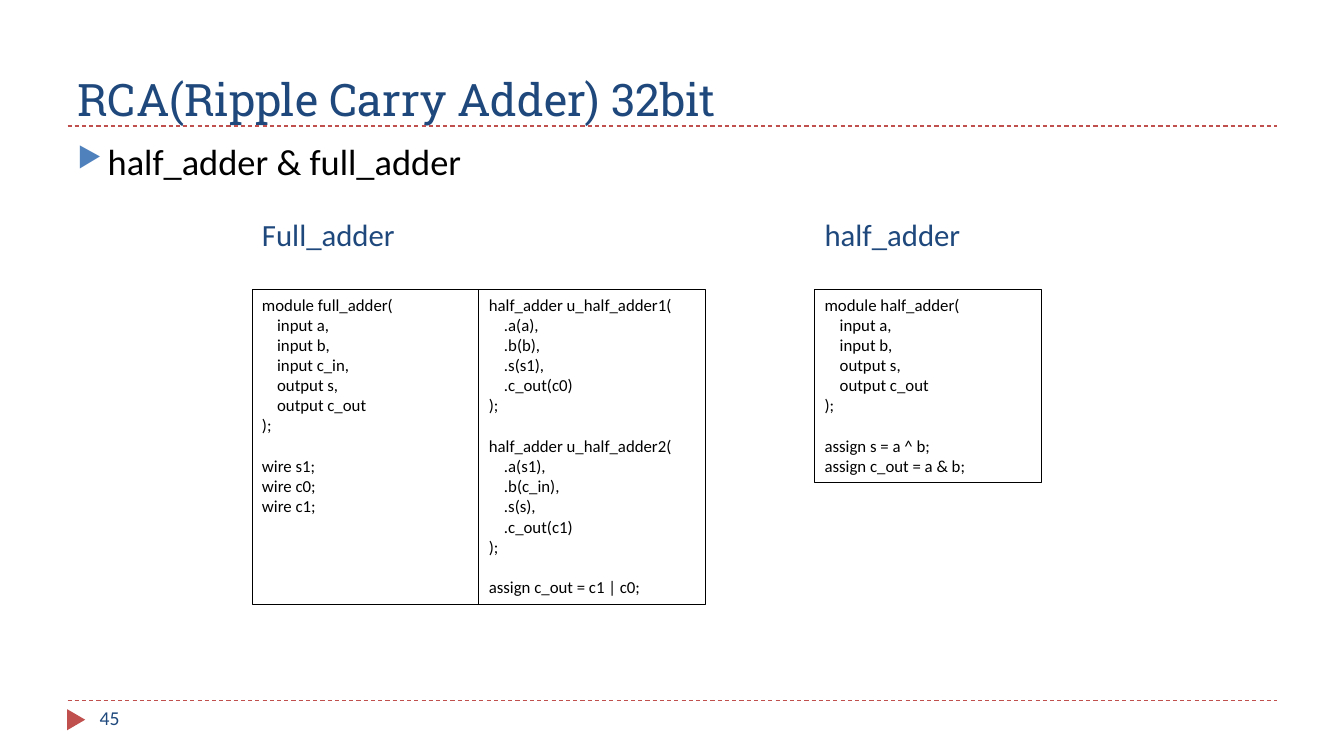
from lxml import etree
from pptx import Presentation
from pptx.dml.color import RGBColor
from pptx.enum.dml import MSO_LINE
from pptx.enum.shapes import MSO_CONNECTOR, MSO_SHAPE
from pptx.enum.text import MSO_ANCHOR, PP_ALIGN
from pptx.oxml.ns import qn
from pptx.util import Emu, Pt

DASH = MSO_LINE.DASH
STRAIGHT = MSO_CONNECTOR.STRAIGHT
RECTANGLE = MSO_SHAPE.RECTANGLE
TRIANGLE = MSO_SHAPE.ISOSCELES_TRIANGLE
TOP, BOTTOM = MSO_ANCHOR.TOP, MSO_ANCHOR.BOTTOM
LEFT = PP_ALIGN.LEFT

NAVY, RED, BLUE, BLACK = "1F497D", "C0504D", "4F81BD", "000000"
BODY_FONT, TITLE_FONT = "Calibri", "Roboto Slab"
CODE_SIZE = 12
CODE_LINE = 14.65

FULL_ADDER_PORTS = """module full_adder(
    input a,
    input b,
    input c_in,
    output s,
    output c_out
);

wire s1;
wire c0;
wire c1;"""

FULL_ADDER_BODY = """half_adder u_half_adder1(
    .a(a),
    .b(b),
    .s(s1),
    .c_out(c0)
);

half_adder u_half_adder2(
    .a(s1),
    .b(c_in),
    .s(s),
    .c_out(c1)
);

assign c_out = c1 | c0;"""

HALF_ADDER = """module half_adder(
    input a,
    input b,
    output s,
    output c_out
);

assign s = a ^ b;
assign c_out = a & b;"""


def px(length):
    return Emu(length * 9144)


def color(value):
    return RGBColor.from_string(value)


def style(para, size, tint, font=BODY_FONT):
    para.alignment = LEFT
    para.font.size = Pt(size)
    para.font.name = font
    para.font.color.rgb = color(tint)


def add_text(page, area, text, size, tint, font=BODY_FONT, anchor=TOP):
    box = page.shapes.add_textbox(*map(px, area))
    frame = box.text_frame
    frame.word_wrap = True
    frame.vertical_anchor = anchor
    frame.text = text
    style(frame.paragraphs[0], size, tint, font)
    return frame


def add_rule(page, left, top, width):
    rule = page.shapes.add_connector(
        STRAIGHT, px(left), px(top), px(left + width), px(top))
    rule.line.color.rgb = color(RED)
    rule.line.width = Pt(0.75)
    rule.line.dash_style = DASH
    etree.SubElement(rule._element.spPr, qn("a:effectLst"))


def add_title(page, left, top, width, height):
    frame = add_text(page, (left, top, width, height),
                     "RCA(Ripple Carry Adder) 32bit", 32, NAVY, TITLE_FONT, BOTTOM)
    frame.margin_bottom = px(1)
    add_rule(page, left, top + height, width)


def add_topic(page, left, top, width, height):
    frame = add_text(page, (left, top, width, height), "", 26, BLACK)
    para = frame.paragraphs[0]
    para.text = "half_adder & full_adder"
    properties = para._p.get_or_add_pPr()
    properties.set("marL", str(px(30)))
    properties.set("indent", str(px(-30)))
    fill = etree.Element(qn("a:buClr"))
    etree.SubElement(fill, qn("a:srgbClr"), val=BLUE)
    size = etree.Element(qn("a:buSzPct"), val="76000")
    mark = etree.Element(qn("a:buChar"), char="▶")
    for position, element in enumerate((fill, size, mark)):
        properties.insert(position, element)


def add_code(page, left, top, width, height, code):
    box = page.shapes.add_shape(RECTANGLE, *map(px, (left, top, width, height)))
    box.shadow.inherit = False
    box.fill.background()
    box.line.color.rgb = color(BLACK)
    box.line.width = Pt(0.75)
    frame = box.text_frame
    frame.word_wrap = True
    frame.vertical_anchor = TOP
    blocks = [block.split("\n") for block in code.split("\n\n")]
    frame.text = "\n".join(line for block in blocks for line in block)
    for para in frame.paragraphs:
        style(para, CODE_SIZE, BLACK)
    start = 0
    for block in blocks[:-1]:
        start += len(block)
        frame.paragraphs[start].space_before = Pt(CODE_LINE)


def add_listing(page, left, top, column, height, heading, codes):
    add_text(page, (left, top, column, 47), heading, 22, NAVY)
    for index, code in enumerate(codes):
        add_code(page, left + index * column, top + 78, column, height, code)


def add_footer(page, left, top, width):
    add_rule(page, left, top, width)
    marker = page.shapes.add_shape(
        TRIANGLE, *map(px, (left - 2, top + 10, 21, 18)))
    marker.rotation = 90
    marker.shadow.inherit = False
    marker.fill.solid()
    marker.fill.fore_color.rgb = color(RED)
    marker.line.fill.background()
    add_text(page, (left + 22, top, 289, 40), "45", 14, NAVY)


def main():
    deck = Presentation()
    deck.slide_width, deck.slide_height = px(1333), px(750)
    page = deck.slides.add_slide(deck.slide_layouts[6])
    add_title(page, 67, 17, 1200, 108)
    add_topic(page, 67, 133, 1200, 540)
    add_listing(page, 250, 209, 225, 313, "Full_adder",
                (FULL_ADDER_PORTS, FULL_ADDER_BODY))
    add_listing(page, 808, 209, 225, 192, "half_adder", (HALF_ADDER,))
    add_footer(page, 67, 695, 1200)
    deck.save("out.pptx")


if __name__ == "__main__":
    main()
